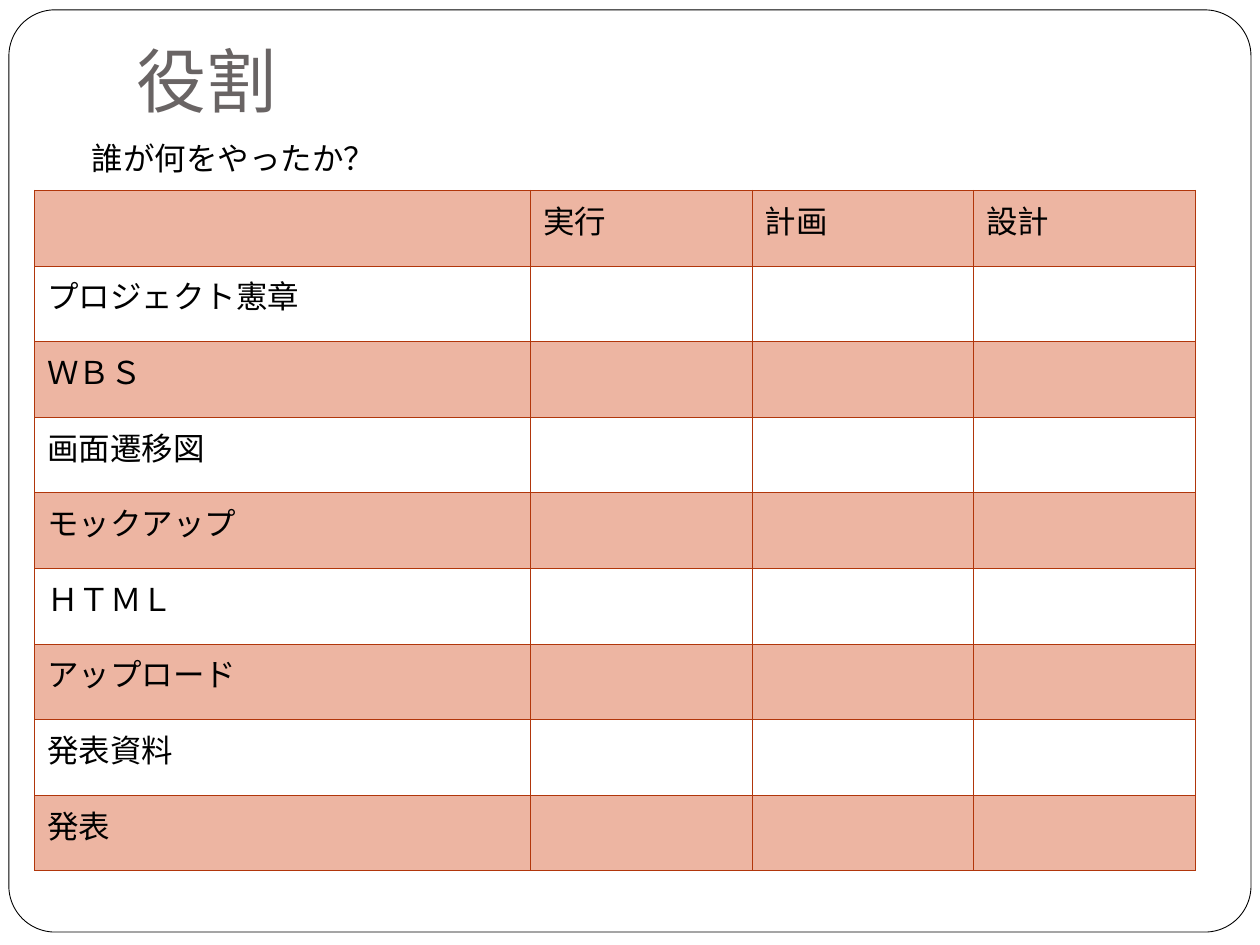
from dataclasses import dataclass

from lxml.etree import SubElement
from pptx import Presentation
from pptx.dml.color import RGBColor
from pptx.enum.shapes import MSO_SHAPE as Shape
from pptx.enum.text import MSO_ANCHOR as Anchor, MSO_AUTO_SIZE as AutoSize, PP_ALIGN as Align
from pptx.oxml.ns import qn
from pptx.util import Cm, Pt


@dataclass(frozen=True)
class Theme:
    japanese: str = "Noto Sans CJK JP"
    serif: str = "Times New Roman"
    title_size: float = 40
    body_size: float = 18
    title: str = "696464"
    text: str = "000000"
    paper: str = "FFFFFF"
    band: str = "D34817"
    band_opacity: int = 40
    grid: str = "B1360B"
    grid_width: float = 0.75
    frame_width: float = 0.5


THEME = Theme()
TITLE = "役割"
QUESTION = "誰が何をやったか？"
ROLES = ["実行", "計画", "設計"]
TASKS = ["プロジェクト憲章", "ＷＢＳ", "画面遷移図", "モックアップ",
         "ＨＴＭＬ", "アップロード", "発表資料", "発表"]


def rgb(value):
    return RGBColor.from_string(value)


def add_run(paragraph, text, size, color, latin=THEME.japanese):
    run = paragraph.add_run()
    run.text = text
    run.font.size = Pt(size)
    run.font.color.rgb = rgb(color)
    run.font.name = latin
    SubElement(run.font._element, qn("a:ea"), typeface=THEME.japanese)


def draw_frame(slide, left, top, width, height):
    frame = slide.shapes.add_shape(Shape.ROUNDED_RECTANGLE, left, top, width, height)
    frame.adjustments[0] = 0.05
    frame.shadow.inherit = False
    frame.fill.solid()
    frame.fill.fore_color.rgb = rgb(THEME.paper)
    frame.line.color.rgb = rgb(THEME.text)
    frame.line.width = Pt(THEME.frame_width)
    # The frame lies behind the title placeholder
    slide.shapes._spTree.insert(2, frame._element)


def draw_heading(slide, left, top, width, height):
    # Title
    title = slide.shapes.title
    title.left, title.top, title.width, title.height = left, top, width, height
    frame = title.text_frame
    frame.auto_size = AutoSize.NONE
    frame.vertical_anchor = Anchor.BOTTOM
    frame.margin_bottom = Cm(0.25)
    frame.paragraphs[0].alignment = Align.LEFT
    add_run(frame.paragraphs[0], TITLE, THEME.title_size, THEME.title)

    # Question under the title
    question = slide.shapes.add_textbox(left - Cm(0.89), top + height - Cm(0.03),
                                        Cm(6.27), Cm(1.02))
    question.text_frame.word_wrap = False
    question.text_frame.auto_size = AutoSize.SHAPE_TO_FIT_TEXT
    add_run(question.text_frame.paragraphs[0], QUESTION,
            THEME.body_size, THEME.text, THEME.serif)


def format_cell(cell, banded):
    properties = cell._tc.get_or_add_tcPr()
    for side in ("lnL", "lnR", "lnT", "lnB"):
        line = SubElement(properties, qn(f"a:{side}"), w=str(Pt(THEME.grid_width)))
        fill = SubElement(line, qn("a:solidFill"))
        SubElement(fill, qn("a:srgbClr"), val=THEME.grid)
    if not banded:
        cell.fill.background()
        return
    cell.fill.solid()
    cell.fill.fore_color.rgb = rgb(THEME.band)
    color = properties.find(f"{qn('a:solidFill')}/{qn('a:srgbClr')}")
    SubElement(color, qn("a:alpha"), val=str(THEME.band_opacity * 1000))


def draw_role_table(slide, left, top, width, height):
    rows = [["", *ROLES]] + [[task] + [""] * len(ROLES) for task in TASKS]
    table = slide.shapes.add_table(len(rows), len(rows[0]), left, top, width, height).table
    table.first_row = table.horz_banding = False

    # Wide task column, equal role columns
    task_width = Cm(10)
    role_width = (width - task_width) // len(ROLES)
    for index, column in enumerate(table.columns):
        column.width = role_width if index else task_width

    for row_index, row in enumerate(rows):
        table.rows[row_index].height = height // len(rows)
        for column_index, text in enumerate(row):
            cell = table.cell(row_index, column_index)
            format_cell(cell, banded=row_index % 2 == 0)
            if text:
                add_run(cell.text_frame.paragraphs[0], text, THEME.body_size, THEME.text)


def main():
    presentation = Presentation()
    presentation.slide_width, presentation.slide_height = Cm(25.4), Cm(19.05)
    slide = presentation.slides.add_slide(presentation.slide_layouts[5])
    draw_frame(slide, Cm(0.18), Cm(0.2), Cm(25.04), Cm(18.59))
    draw_heading(slide, Cm(2.49), Cm(0.53), Cm(3.81), Cm(2.18))
    draw_role_table(slide, Cm(0.7), Cm(3.84), Cm(23.4), Cm(13.72))
    presentation.save("out.pptx")


if __name__ == "__main__":
    main()
